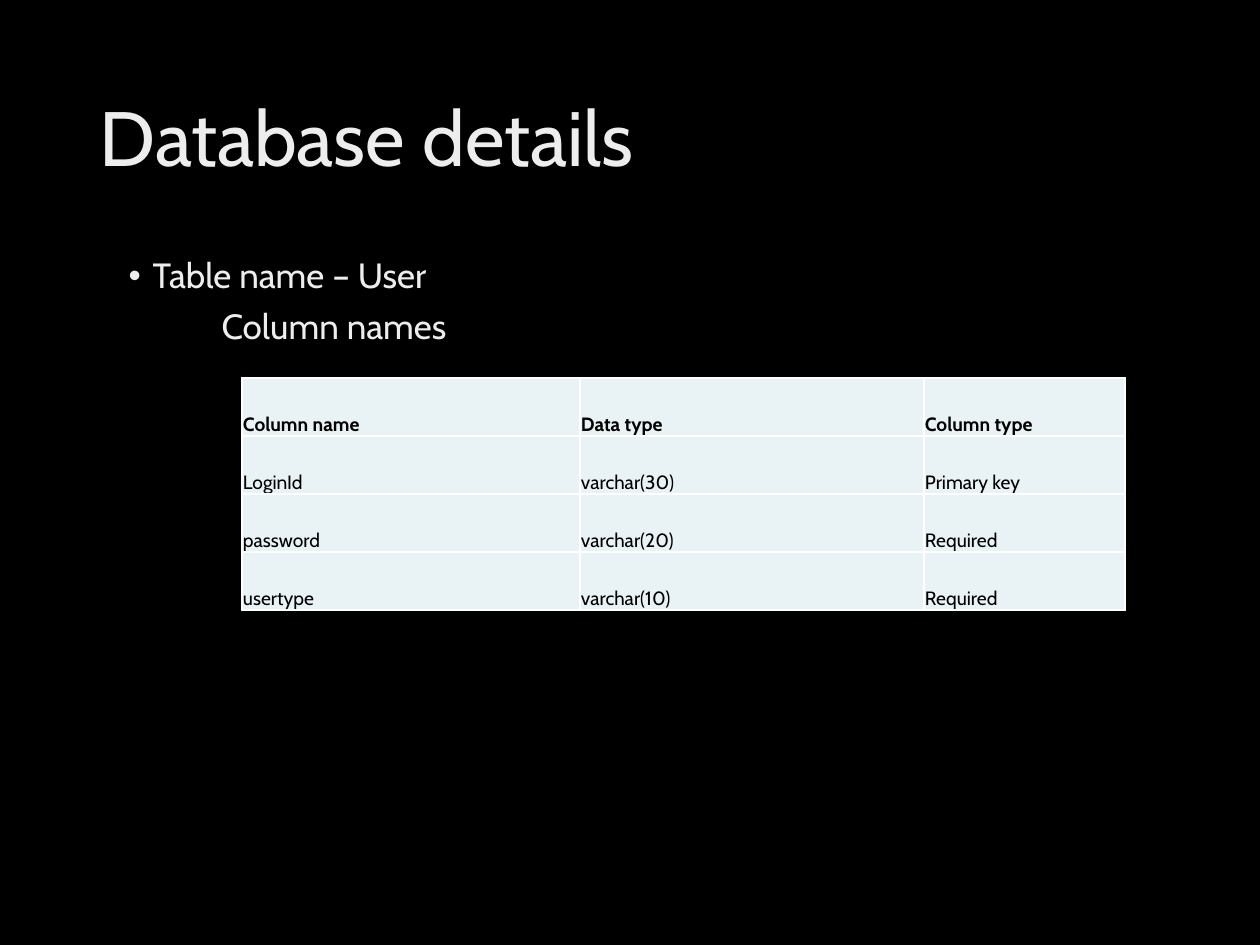
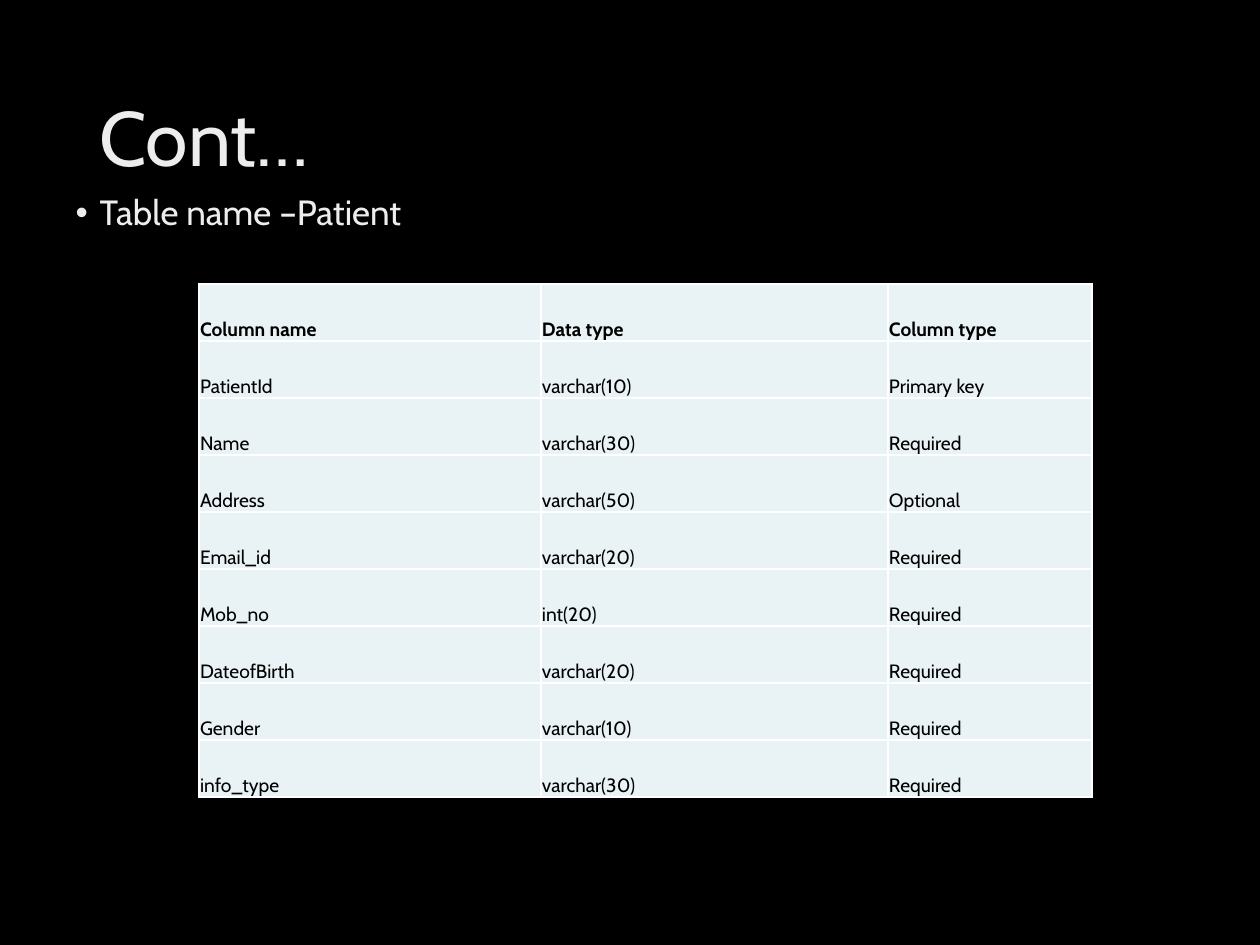
from lxml import etree
from pptx import Presentation
from pptx.dml.color import RGBColor
from pptx.enum.text import MSO_ANCHOR, MSO_AUTO_SIZE, PP_ALIGN
from pptx.oxml.ns import qn
from pptx.util import Emu, Pt

LEFT = PP_ALIGN.LEFT
TOP, MIDDLE, BOTTOM = MSO_ANCHOR.TOP, MSO_ANCHOR.MIDDLE, MSO_ANCHOR.BOTTOM
NO_AUTOFIT = MSO_AUTO_SIZE.NONE
TITLE_AND_CONTENT = 1
EMU_PER_PX = 914400 / 126

HEADINGS = ("Column name", "Data type", "Column type")
USER_COLUMNS = [
    ("LoginId", "varchar(30)", "Primary key"),
    ("password", "varchar(20)", "Required"),
    ("usertype", "varchar(10)", "Required"),
]
PATIENT_COLUMNS = [
    ("PatientId", "varchar(10)", "Primary key"),
    ("Name", "varchar(30)", "Required"),
    ("Address", "varchar(50)", "Optional"),
    ("Email_id", "varchar(20)", "Required"),
    ("Mob_no", "int(20)", "Required"),
    ("DateofBirth", "varchar(20)", "Required"),
    ("Gender", "varchar(10)", "Required"),
    ("info_type", "varchar(30)", "Required"),
]


def px(length):
    """Turn pixels into EMU."""
    return Emu(round(length * EMU_PER_PX))


def color(hex_string):
    return RGBColor.from_string(hex_string)


def set_attributes(target, values):
    for name, value in values.items():
        setattr(target, name, value)


class Deck:
    """Holds the shared style and the slide being filled."""

    FONT = "Cabin"
    BACKGROUND = "000000"
    LIGHT_TEXT = "EDEDED"
    CELL_TEXT = "000000"
    CELL_FILL = "E9F2F4"
    BORDER = "FFFFFF"
    BORDER_WIDTH = Pt(1)
    TITLE_BOX = (87, 50, 1086, 183)
    BULLET_INDENT = 24
    CELL_FORMAT = {
        "margin_left": px(1), "margin_right": px(1), "margin_top": px(1),
        "margin_bottom": 0, "vertical_anchor": BOTTOM,
    }

    def __init__(self):
        self.presentation = Presentation()
        set_attributes(self.presentation, {"slide_width": px(1260), "slide_height": px(945)})
        fill = self.presentation.slide_master.background.fill
        fill.solid()
        fill.fore_color.rgb = color(self.BACKGROUND)
        self.slide = None

    def add_text(self, paragraph, text, size, text_color, bold=False):
        run = paragraph.add_run()
        run.text = text
        set_attributes(run.font, {"name": self.FONT, "size": Pt(size), "bold": bold})
        run.font.color.rgb = color(text_color)

    def place(self, shape, box, anchor):
        """Move a placeholder and return its text frame."""
        set_attributes(shape, dict(zip(("left", "top", "width", "height"), map(px, box))))
        frame = shape.text_frame
        set_attributes(frame, {"word_wrap": True, "auto_size": NO_AUTOFIT,
                               "vertical_anchor": anchor})
        return frame

    def add_slide(self, title):
        layout = self.presentation.slide_layouts[TITLE_AND_CONTENT]
        self.slide = self.presentation.slides.add_slide(layout)
        frame = self.place(self.slide.shapes.title, self.TITLE_BOX, MIDDLE)
        paragraph = frame.paragraphs[0]
        set_attributes(paragraph, {"alignment": LEFT, "line_spacing": 0.9})
        self.add_text(paragraph, title, 44, self.LIGHT_TEXT)

    def add_body(self, box, bullet, subheading=None, subheading_indent=93):
        frame = self.place(self.slide.placeholders[1], box, TOP)
        self.add_line(frame.paragraphs[0], bullet, self.BULLET_INDENT, "•")
        if subheading:
            self.add_line(frame.add_paragraph(), subheading, subheading_indent)

    def add_line(self, paragraph, text, indent, bullet=None):
        set_attributes(paragraph, {"alignment": LEFT, "line_spacing": 0.9,
                                   "space_before": Pt(7.5)})
        properties = paragraph._p.get_or_add_pPr()
        properties.set("marL", str(px(indent)))
        properties.set("indent", str(-px(indent) if bullet else 0))
        if bullet:
            etree.SubElement(properties, qn("a:buFont"), typeface="Arial")
            etree.SubElement(properties, qn("a:buChar"), char=bullet)
        else:
            etree.SubElement(properties, qn("a:buNone"))
        self.add_text(paragraph, text, 20, self.LIGHT_TEXT)

    def add_table(self, left, top, widths, row_height, records):
        rows = [HEADINGS, *records]
        table = self.slide.shapes.add_table(
            len(rows), len(widths), px(left), px(top),
            px(sum(widths)), px(row_height * len(rows))).table
        table.horz_banding = False
        for column, width in zip(table.columns, widths):
            column.width = px(width)
        for row_index, texts in enumerate(rows):
            table.rows[row_index].height = px(row_height)
            for column_index, text in enumerate(texts):
                self.fill_cell(table.cell(row_index, column_index), text, row_index == 0)

    def fill_cell(self, cell, text, bold):
        set_attributes(cell, self.CELL_FORMAT)
        properties = cell._tc.get_or_add_tcPr()
        for side in ("L", "R", "T", "B"):
            line = etree.SubElement(properties, qn(f"a:ln{side}"), w=str(self.BORDER_WIDTH))
            solid = etree.SubElement(line, qn("a:solidFill"))
            etree.SubElement(solid, qn("a:srgbClr"), val=self.BORDER)
        cell.fill.solid()
        cell.fill.fore_color.rgb = color(self.CELL_FILL)
        self.add_text(cell.text_frame.paragraphs[0], text, 11, self.CELL_TEXT, bold)


def main():
    deck = Deck()

    deck.add_slide("Database details")
    deck.add_body((116, 252, 1057, 600), "Table name – User", "Column names")
    deck.add_table(242, 378, (338, 344, 201), 58, USER_COLUMNS)

    deck.add_slide("Cont…")
    deck.add_body((63, 189, 1134, 672), "Table name –Patient")
    deck.add_table(199, 284, (342, 347, 204), 57, PATIENT_COLUMNS)

    deck.presentation.save("out.pptx")


if __name__ == "__main__":
    main()
